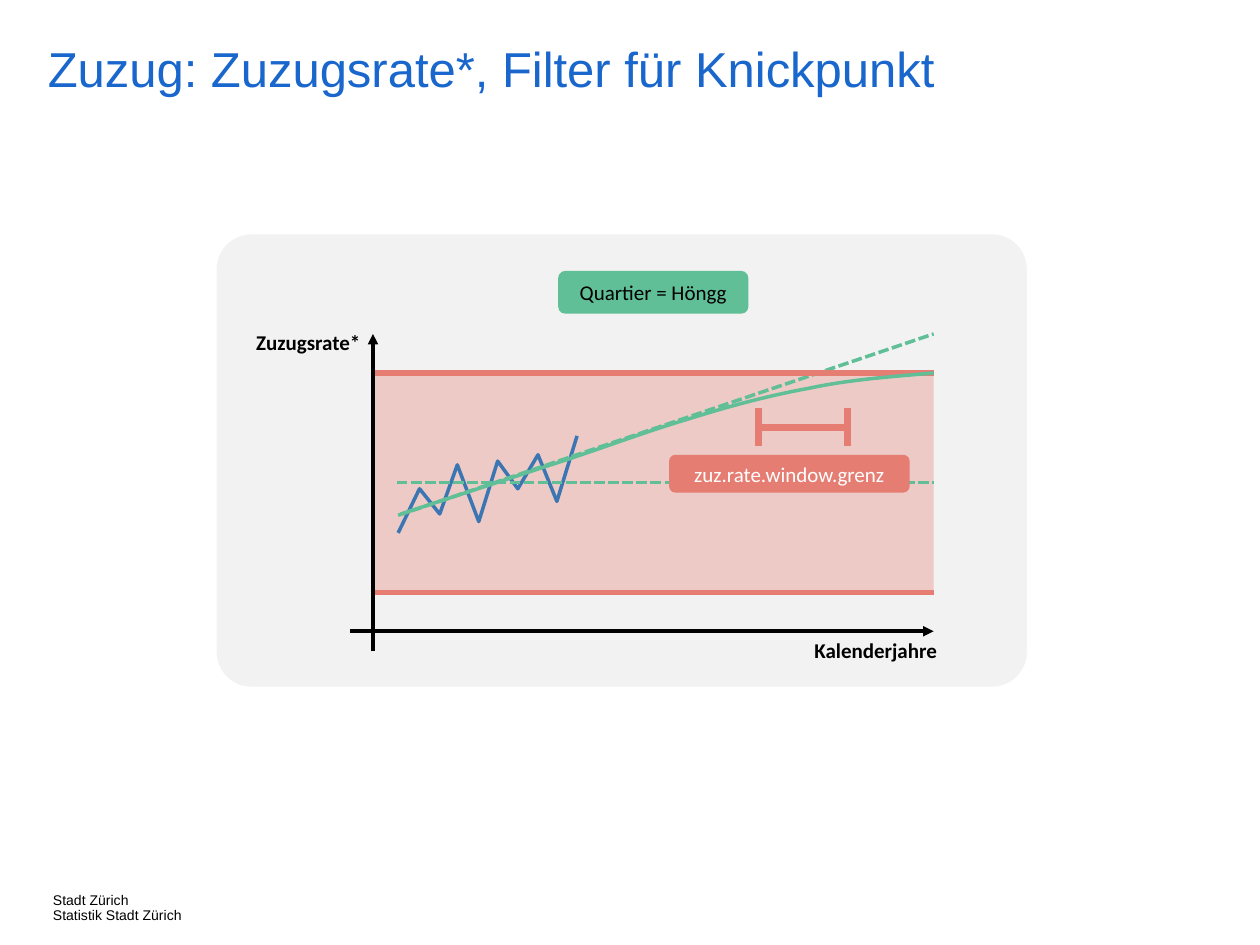
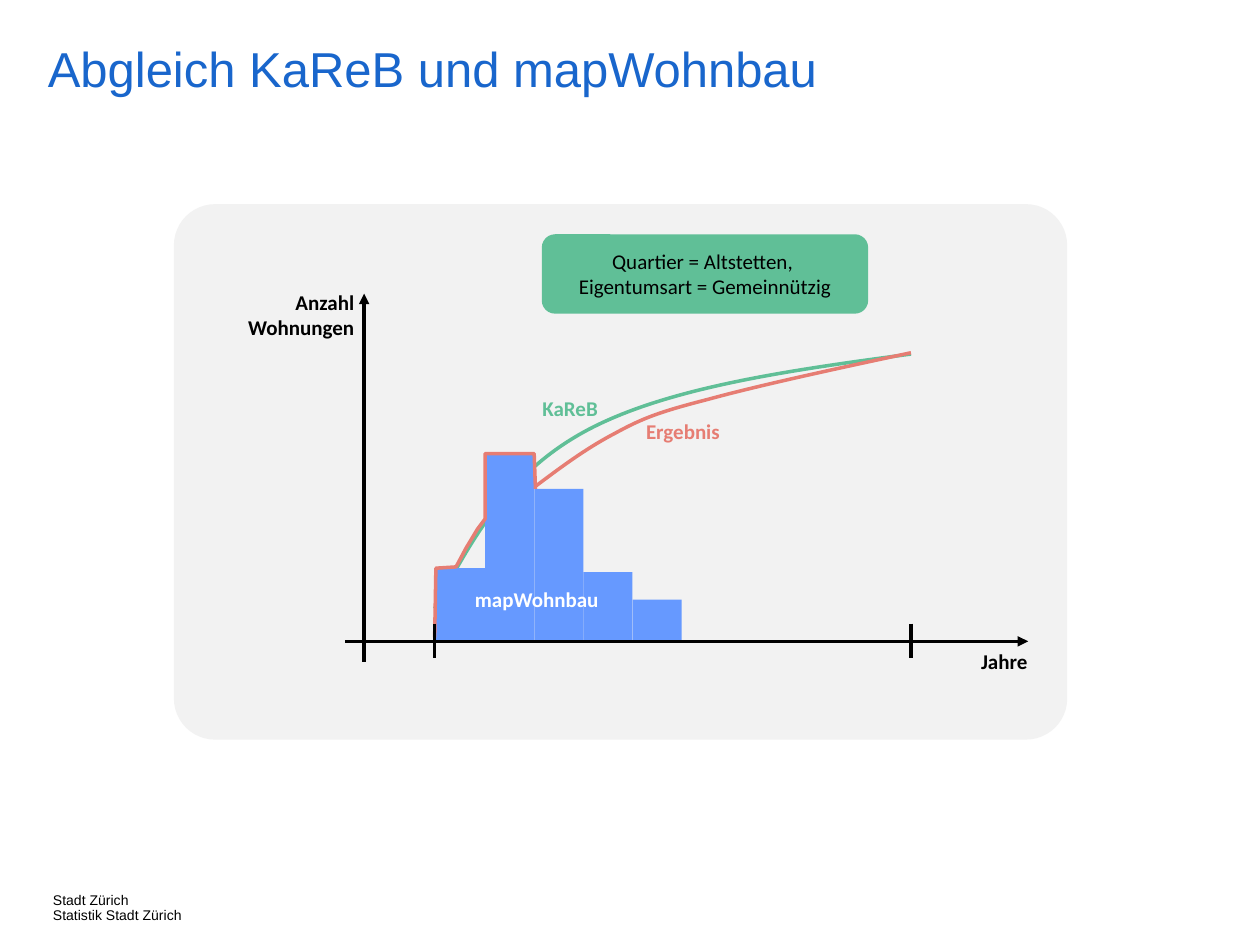
from dataclasses import dataclass

from lxml.etree import SubElement
from pptx import Presentation
from pptx.dml.color import RGBColor
from pptx.enum.dml import MSO_LINE
from pptx.enum.shapes import MSO_CONNECTOR, MSO_SHAPE
from pptx.enum.text import MSO_ANCHOR, PP_ALIGN
from pptx.oxml.ns import qn
from pptx.util import Inches, Pt

BLACK = RGBColor(0x00, 0x00, 0x00)
WHITE = RGBColor(0xFF, 0xFF, 0xFF)
TITLE_BLUE = RGBColor(0x19, 0x66, 0xCC)
PANEL_GREY = RGBColor(0xF2, 0xF2, 0xF2)
GREEN = RGBColor(0x60, 0xBF, 0x97)
CORAL = RGBColor(0xE6, 0x7D, 0x73)
SERIES_BLUE = RGBColor(0x3B, 0x76, 0xB3)
BAR_BLUE = RGBColor(0x66, 0x99, 0xFF)

TITLE_FONT = {"name": "Arial", "size": Pt(28)}
FOOTER_FONT = {"name": "Arial", "size": Pt(8)}
LABEL_FONT = {"name": "Calibri", "size": Pt(12), "bold": True}
TAG_FONT = {"name": "Calibri", "size": Pt(12), "bold": False}
NO_INSETS = {"margin_left": 0, "margin_top": 0, "margin_right": 0, "margin_bottom": 0}


@dataclass
class Box:
    left: float
    top: float
    width: float
    height: float

    def point(self, x, y):
        return Inches(self.left + x), Inches(self.top + y)

    def inner(self, x, y, width, height):
        return Box(self.left + x, self.top + y, width, height)

    def lengths(self):
        return [Inches(n) for n in (self.left, self.top, self.width, self.height)]


def set_all(target, values):
    for name, value in values.items():
        setattr(target, name, value)


def write(frame, text, font, color, align=PP_ALIGN.LEFT, spacing=1.0):
    frame.text = text
    for paragraph in frame.paragraphs:
        set_all(paragraph, {"alignment": align, "line_spacing": spacing})
        for run in paragraph.runs:
            set_all(run.font, font)
            run.font.color.rgb = color


def add_label(slide, box, text, color=BLACK, align=PP_ALIGN.CENTER):
    label = slide.shapes.add_textbox(*box.lengths())
    label.text_frame.word_wrap = True
    write(label.text_frame, text, LABEL_FONT, color, align)


def add_area(slide, box, color, preset=MSO_SHAPE.RECTANGLE, opacity=None):
    area = slide.shapes.add_shape(preset, *box.lengths())
    area.shadow.inherit = False
    area.fill.solid()
    area.fill.fore_color.rgb = color
    area.line.fill.background()
    if opacity:
        tint = area._element.spPr.find(qn("a:solidFill")).find(qn("a:srgbClr"))
        SubElement(tint, qn("a:alpha"), val=str(opacity * 1000))
    return area


def add_tag(slide, box, text, fill, color):
    tag = add_area(slide, box, fill, MSO_SHAPE.ROUNDED_RECTANGLE)
    set_all(tag.text_frame, {"word_wrap": True, "vertical_anchor": MSO_ANCHOR.MIDDLE,
                             "margin_top": 0, "margin_bottom": 0})
    write(tag.text_frame, text, TAG_FONT, color, PP_ALIGN.CENTER)


def add_line(slide, box, start, end, color=BLACK, width=2, dash=None, arrow=False):
    line = slide.shapes.add_connector(
        MSO_CONNECTOR.STRAIGHT, *box.point(*start), *box.point(*end))
    line.line.color.rgb = color
    line.line.width = Pt(width)
    if dash:
        line.line.dash_style = dash
    if arrow:
        SubElement(line.line._get_or_add_ln(), qn("a:tailEnd"), type="triangle")
    SubElement(line._element.spPr, qn("a:effectLst"))


def add_curve(slide, box, start, segments, color):
    """Each segment is one end point, or two control points and an end point."""
    builder = slide.shapes.build_freeform(*box.point(*start))
    points = [box.point(*point) for segment in segments for point in segment]
    builder.add_line_segments(points, close=False)
    curve = builder.convert_to_shape()
    curve.shadow.inherit = False
    curve.fill.background()
    curve.line.color.rgb = color
    curve.line.width = Pt(2)
    steps = iter(list(curve._element.iter(qn("a:lnTo"))))
    for segment in segments:
        first, *rest = [next(steps) for _ in segment]
        if rest:
            bezier = SubElement(first.getparent(), qn("a:cubicBezTo"))
            first.addprevious(bezier)
            for step in (first, *rest):
                bezier.append(step[0])
                step.getparent().remove(step)


def straight(points):
    return [(point,) for point in points]


def add_heading(slide, box, text):
    heading = slide.shapes.add_textbox(*box.lengths()).text_frame
    set_all(heading, {"word_wrap": True, **NO_INSETS})
    write(heading, text, TITLE_FONT, TITLE_BLUE, spacing=0.9)


def add_footer(slide, box):
    footer = slide.shapes.add_textbox(*box.lengths()).text_frame
    set_all(footer, {"word_wrap": False, **NO_INSETS})
    write(footer, "Stadt Zürich\nStatistik Stadt Zürich", FOOTER_FONT, BLACK, spacing=0.9)


def add_panel(slide, box):
    panel = add_area(slide, box, PANEL_GREY, MSO_SHAPE.ROUNDED_RECTANGLE)
    panel.adjustments[0] = 0.077


def draw_migration_rate(slide, box):
    left, right, upper, lower = 1.24, 5.69, 1.1, 2.84
    add_panel(slide, box)
    add_area(slide, box.inner(left, upper, right - left, lower - upper), CORAL, opacity=34)
    add_line(slide, box, (1.06, 3.15), (right, 3.15), arrow=True)
    add_label(slide, box.inner(4.61, 3.15, 1.24, 0.3), "Kalenderjahre")
    add_label(slide, box.inner(0, 0.71, 1.24, 0.3), "Zuzugsrate*", align=PP_ALIGN.RIGHT)

    observed = [(1.44, 2.37), (1.61, 2.02), (1.77, 2.22), (1.91, 1.83), (2.08, 2.28),
                (2.23, 1.8), (2.39, 2.02), (2.55, 1.75), (2.7, 2.12), (2.86, 1.6)]
    add_curve(slide, box, observed[0], straight(observed[1:]), SERIES_BLUE)
    for start, end_y in (((1.43, 1.97), 1.97), ((1.44, 2.23), 0.79)):
        add_line(slide, box, start, (right, end_y), GREEN, dash=MSO_LINE.SQUARE_DOT)
    for limit in (lower, upper):
        add_line(slide, box, (left, limit), (right, limit), CORAL, 3)
    add_line(slide, box, (left, 3.31), (left, 0.79), arrow=True)

    window = (4.3, 5.01)
    add_line(slide, box, (window[0], 1.53), (window[1], 1.53), CORAL, 4)
    for edge in window:
        add_line(slide, box, (edge, 1.38), (edge, 1.68), CORAL, 4)
    filtered = [((2.62, 1.84),),
                ((3, 1.72), (3.39, 1.57), (3.73, 1.47)),
                ((4.08, 1.36), (4.38, 1.28), (4.71, 1.22)),
                ((5.04, 1.15), (5.36, 1.13), (right, upper))]
    add_curve(slide, box, (1.46, 2.22), filtered, GREEN)
    add_tag(slide, box.inner(3.59, 1.75, 1.91, 0.3), "zuz.rate.window.grenz", CORAL, WHITE)
    add_tag(slide, box.inner(2.71, 0.29, 1.51, 0.34), "Quartier = Höngg", GREEN, BLACK)


def draw_housing_match(slide, box):
    base, first_year, last_year, bar_width = 3.47, 2.07, 5.85, 0.39
    add_panel(slide, box)
    add_line(slide, box, (1.51, 3.63), (1.51, 0.71), arrow=True)
    add_label(slide, box.inner(0.03, 0.63, 1.5, 0.5), "Anzahl Wohnungen",
              align=PP_ALIGN.RIGHT)
    add_tag(slide, box.inner(2.92, 0.24, 2.59, 0.63),
            "Quartier = Altstetten, \vEigentumsart = Gemeinnützig", GREEN, BLACK)
    add_label(slide, box.inner(6.17, 3.48, 0.84, 0.3), "Jahre")

    register = [((2.36, 2.67), (2.64, 2.14), (3.27, 1.8)),
                ((3.9, 1.46), (4.87, 1.32), (last_year, 1.19))]
    add_curve(slide, box, (first_year, 3.21), register, GREEN)
    for index, height in enumerate((0.58, 1.5, 1.21, 0.55, 0.33)):
        bar = box.inner(2.08 + index * bar_width, base - height, bar_width, height)
        add_area(slide, bar, BAR_BLUE)
    add_line(slide, box, (1.36, base), (6.78, base), arrow=True)

    result_late = [((3.07, 2.09), (3.27, 1.94), (3.5, 1.82)),
                   ((3.72, 1.7), (3.85, 1.65), (4.24, 1.55)),
                   ((4.64, 1.44), (5.24, 1.31), (last_year, 1.18))]
    add_curve(slide, box, (2.87, 2.24), result_late, CORAL)
    result_early = [(2.08, 2.89), (2.24, 2.88), (2.32, 2.73), (2.41, 2.58),
                    (2.47, 2.5), (2.47, 1.98), (2.86, 1.98), (2.87, 2.26)]
    add_curve(slide, box, (first_year, 3.44), straight(result_early), CORAL)
    for year in (first_year, last_year):
        add_line(slide, box, (year, 3.33), (year, 3.6))

    add_label(slide, box.inner(2.66, 1.47, 0.97, 0.3), "KaReB", GREEN)
    add_label(slide, box.inner(2.27, 2.99, 1.22, 0.3), "mapWohnbau", WHITE)
    add_label(slide, box.inner(3.2, 1.65, 1.68, 0.3), "Ergebnis", CORAL)


deck = Presentation()
set_all(deck, {"slide_width": Inches(10), "slide_height": Inches(7.5)})
for heading, draw_diagram, diagram_box in (
    ("Zuzug: Zuzugsrate*, Filter für Knickpunkt", draw_migration_rate,
     Box(1.72, 1.86, 6.43, 3.59)),
    ("Abgleich KaReB und mapWohnbau", draw_housing_match, Box(1.38, 1.62, 7.09, 4.25)),
):
    page = deck.slides.add_slide(deck.slide_layouts[6])
    add_footer(page, Box(0.42, 7.09, 1.31, 0.2))
    add_heading(page, Box(0.38, 0.36, 8.4, 0.64), heading)
    draw_diagram(page, diagram_box)
deck.save("out.pptx")
